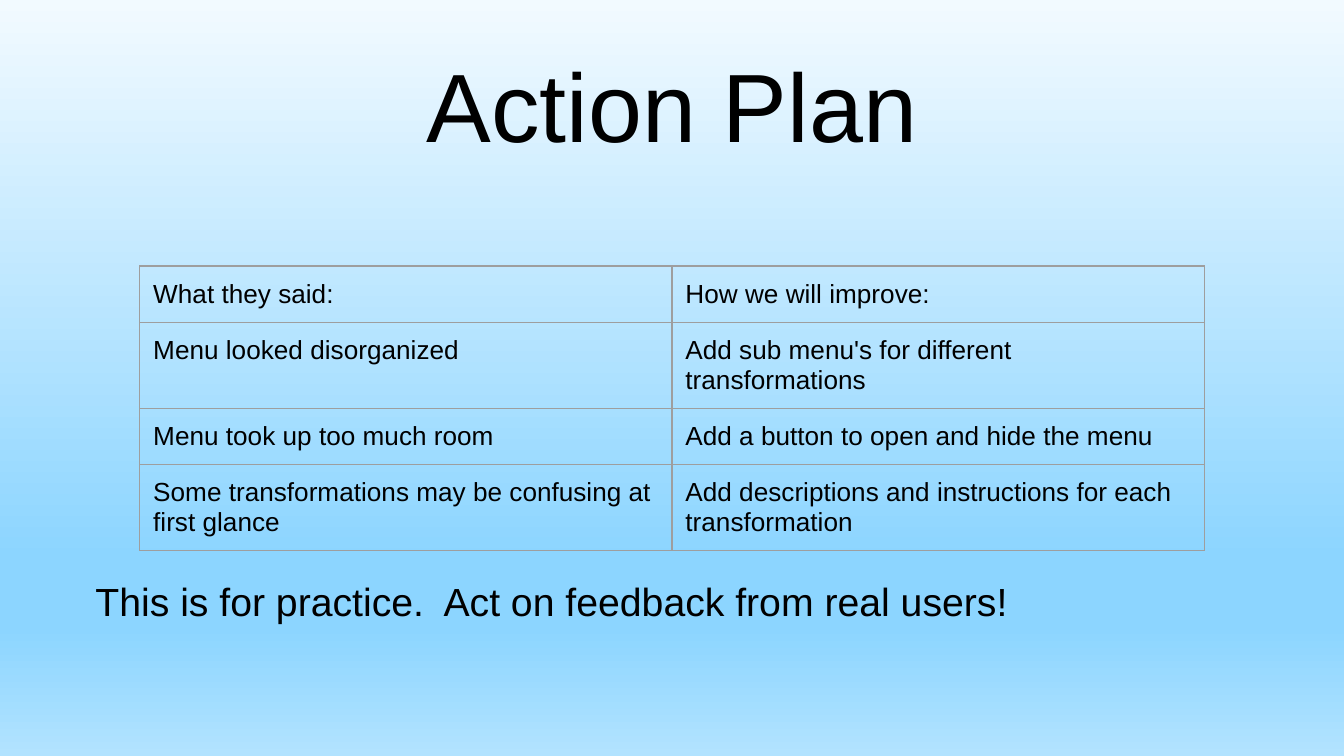
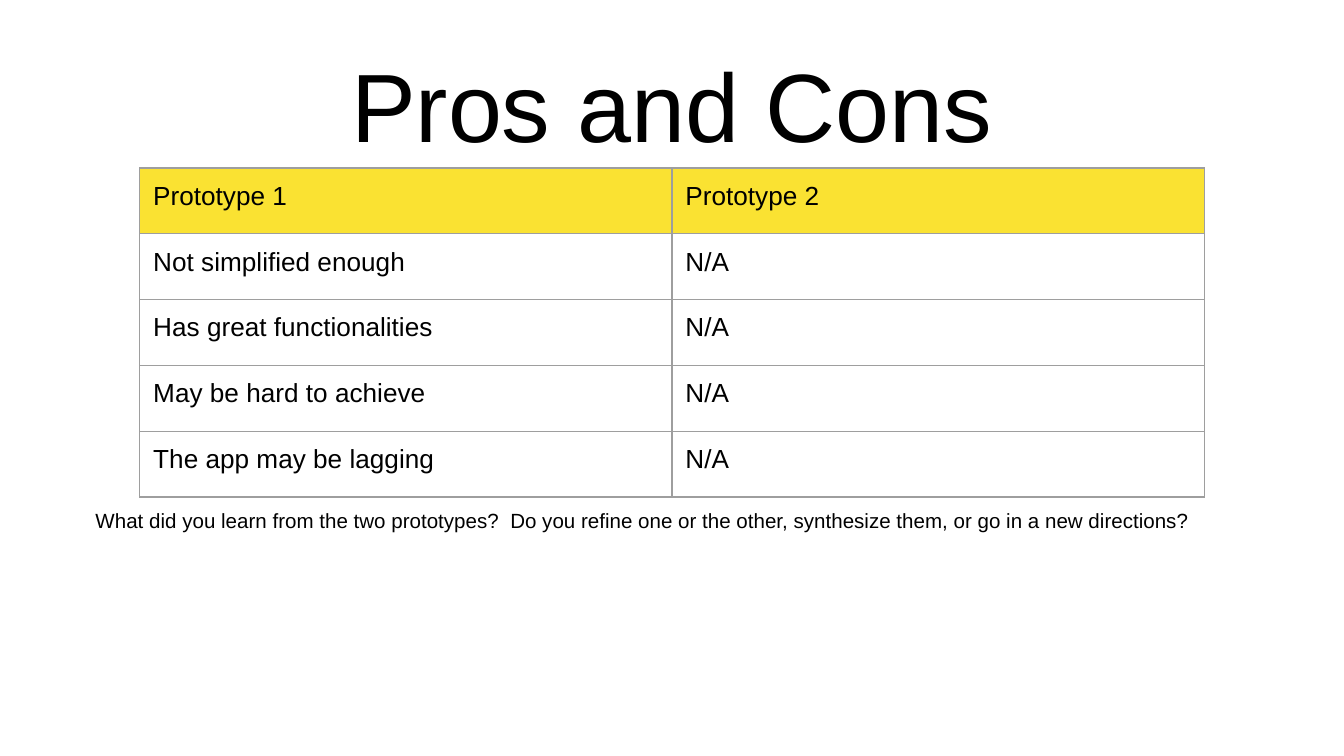
from lxml import etree
from pptx import Presentation
from pptx.dml.color import RGBColor
from pptx.enum.text import MSO_ANCHOR, MSO_AUTO_SIZE, PP_ALIGN
from pptx.oxml.ns import qn
from pptx.util import Inches, Pt

MIDDLE = MSO_ANCHOR.MIDDLE
NO_AUTOFIT = MSO_AUTO_SIZE.NONE
LEFT = PP_ALIGN.LEFT
CENTER = PP_ALIGN.CENTER

FONT = "Arial"
BLACK = "000000"
WHITE = "FFFFFF"
GRID_GRAY = "9E9E9E"
HEADER_YELLOW = "FAE232"
SKY_STOPS = [(0, "F2FAFF"), (74, "8CD5FF"), (83, "8CD5FF"), (100, "B2E3FF")]

SLIDE_WIDTH = 10
SLIDE_HEIGHT = SLIDE_WIDTH * 9 / 16
TITLE_BOX = (0.73, 0.15, 8.54, 1.25)
TABLE_LEFT = 1.04
COLUMN_WIDTH = 3.96
CELL_INSET = 0.1
PLACEHOLDER_INSET = 0.04

ACTIONS = [
    ("What they said:", "How we will improve:"),
    ("Menu looked disorganized", "Add sub menu's for different transformations"),
    ("Menu took up too much room", "Add a button to open and hide the menu"),
    ("Some transformations may be confusing at first glance",
     "Add descriptions and instructions for each transformation"),
]
FINDINGS = [
    ("Prototype 1", "Prototype 2"),
    ("Not simplified enough", "N/A"),
    ("Has great functionalities", "N/A"),
    ("May be hard to achieve", "N/A"),
    ("The app may be lagging", "N/A"),
]


def color(hex_value):
    return RGBColor.from_string(hex_value)


def set_font(paragraph, size):
    paragraph.font.name = FONT
    paragraph.font.size = Pt(size)
    paragraph.font.color.rgb = color(BLACK)


def set_margins(target, inset):
    target.margin_left = target.margin_right = Inches(inset)
    target.margin_top = target.margin_bottom = Inches(inset)


def fill_placeholder(placeholder, box, text, size, alignment):
    placeholder.left, placeholder.top, placeholder.width, placeholder.height = map(Inches, box)
    frame = placeholder.text_frame
    frame.text = text
    frame.word_wrap = True
    frame.auto_size = NO_AUTOFIT
    frame.vertical_anchor = MIDDLE
    set_margins(frame, PLACEHOLDER_INSET)
    paragraph = frame.paragraphs[0]
    paragraph.alignment = alignment
    paragraph.space_before = Pt(0)
    properties = paragraph._p.get_or_add_pPr()
    properties.set("marL", "0")
    properties.set("indent", "0")
    etree.SubElement(properties, qn("a:buNone"))
    set_font(paragraph, size)


def add_borders(cell):
    properties = cell._tc.get_or_add_tcPr()
    for side in ("lnL", "lnR", "lnT", "lnB"):
        line = etree.SubElement(properties, qn(f"a:{side}"), w=str(Pt(0.75)))
        solid = etree.SubElement(line, qn("a:solidFill"))
        etree.SubElement(solid, qn("a:srgbClr"), val=GRID_GRAY)


def add_grid(slide, rows, top, row_height, header_fill=None):
    columns = len(rows[0])
    table = slide.shapes.add_table(
        len(rows), columns, Inches(TABLE_LEFT), Inches(top),
        Inches(COLUMN_WIDTH * columns), Inches(row_height * len(rows))).table
    table.first_row = False
    table.horz_banding = False
    for row_index, texts in enumerate(rows):
        for column_index, text in enumerate(texts):
            cell = table.cell(row_index, column_index)
            cell.text = text
            set_margins(cell, CELL_INSET)
            set_font(cell.text_frame.paragraphs[0], 14)
            add_borders(cell)
            if header_fill and row_index == 0:
                cell.fill.solid()
                cell.fill.fore_color.rgb = color(header_fill)
            else:
                cell.fill.background()


def paint_gradient(slide, stops):
    fill = slide.background.fill
    fill.gradient()
    fill.gradient_angle = 270
    stop_list = slide.element.find(f".//{qn('a:gsLst')}")
    for default_stop in list(stop_list):
        stop_list.remove(default_stop)
    for percent, hex_value in stops:
        stop = etree.SubElement(stop_list, qn("a:gs"), pos=str(percent * 1000))
        etree.SubElement(stop, qn("a:srgbClr"), val=hex_value)


def paint_solid(slide, hex_value):
    fill = slide.background.fill
    fill.solid()
    fill.fore_color.rgb = color(hex_value)


def add_slide(presentation, title, remark, remark_box, remark_size):
    slide = presentation.slides.add_slide(presentation.slide_layouts[1])
    fill_placeholder(slide.shapes.title, TITLE_BOX, title, 52, CENTER)
    fill_placeholder(slide.placeholders[1], remark_box, remark, remark_size, LEFT)
    return slide


def main():
    presentation = Presentation()
    presentation.slide_width = Inches(SLIDE_WIDTH)
    presentation.slide_height = Inches(SLIDE_HEIGHT)

    action_plan = add_slide(
        presentation, "Action Plan",
        "This is for practice.  Act on feedback from real users!",
        (0.67, 3.82, 8.6, 1.3), 21)
    paint_gradient(action_plan, SKY_STOPS)
    add_grid(action_plan, ACTIONS, 1.98, 0.42)

    pros_and_cons = add_slide(
        presentation, "Pros and Cons",
        "What did you learn from the two prototypes?  Do you refine one or the other, "
        "synthesize them, or go in a new directions?",
        (0.67, 3.74, 8.6, 0.26), 11)
    paint_solid(pros_and_cons, WHITE)
    add_grid(pros_and_cons, FINDINGS, 1.25, 0.49, HEADER_YELLOW)

    presentation.save("out.pptx")


if __name__ == "__main__":
    main()
